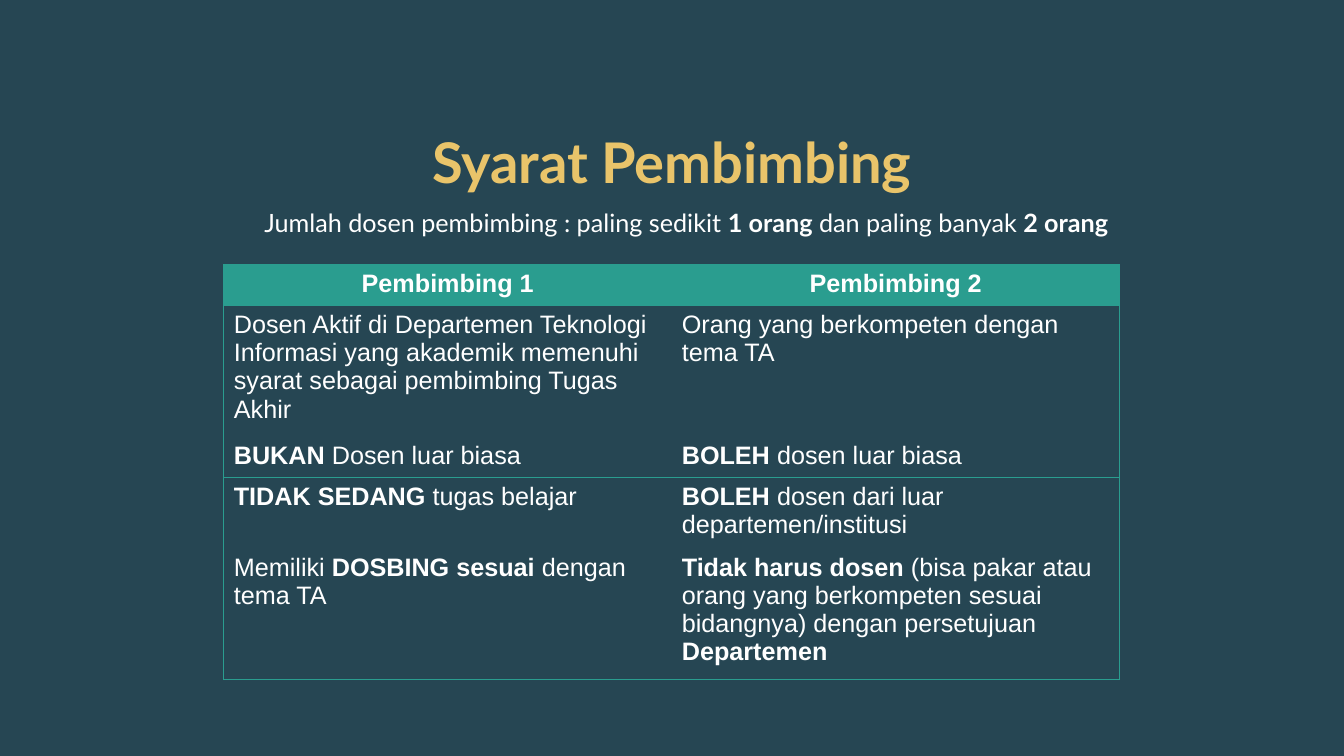
from dataclasses import dataclass

from lxml.etree import SubElement
from pptx import Presentation
from pptx.dml.color import RGBColor
from pptx.enum.text import MSO_ANCHOR as Anchor, PP_ALIGN as Align
from pptx.oxml.ns import qn
from pptx.slide import Slide
from pptx.table import Table, _Cell as Cell
from pptx.text.text import TextFrame
from pptx.util import Cm, Pt

COLORS = {"background": "264653", "title": "E9C46A", "text": "FFFFFF", "teal": "2A9D8F"}


@dataclass
class Style:
    size: int
    font: str
    color: str = "text"
    align: Align = Align.CENTER
    spacing: float = 1.0


@dataclass
class Caption:
    text: str
    left: float
    top: float
    width: float
    height: float
    anchor: Anchor
    style: Style


# Text between ** marks is bold
CAPTIONS = [
    Caption("**Syarat Pembimbing**", 4.23, 3.2, 25.4, 1.7, Anchor.BOTTOM,
            Style(40, "Lato", "title")),
    Caption("Jumlah dosen pembimbing : paling sedikit **1 orang** dan paling banyak **2 orang**",
            4.95, 5.31, 24.69, 1.35, Anchor.TOP, Style(18, "Lato", spacing=0.9)),
]
REQUIREMENTS = [
    ("**Pembimbing 1**", "**Pembimbing 2**"),
    ("Dosen Aktif di Departemen Teknologi Informasi yang akademik memenuhi syarat "
     "sebagai pembimbing Tugas Akhir",
     "Orang yang berkompeten dengan tema TA"),
    ("**BUKAN **Dosen luar biasa", "**BOLEH** dosen luar biasa"),
    ("**TIDAK SEDANG** tugas belajar", "**BOLEH** dosen dari luar departemen/institusi"),
    ("Memiliki **DOSBING sesuai** dengan tema TA",
     "**Tidak harus dosen **(bisa pakar atau orang yang berkompeten sesuai bidangnya) "
     "dengan persetujuan **Departemen**"),
]
RULED_EDGES = {0, 1, 3, len(REQUIREMENTS)}  # horizontal rules, counted from the table top
HEADER_STYLE = Style(18, "Arial")
BODY_STYLE = Style(18, "Arial", align=Align.LEFT)


def rgb(name: str) -> RGBColor:
    return RGBColor.from_string(COLORS[name])


def write(frame: TextFrame, text: str, style: Style) -> None:
    para = frame.paragraphs[0]
    para.alignment, para.line_spacing = style.align, style.spacing
    para.font.size, para.font.name = Pt(style.size), style.font
    para.font.color.rgb = rgb(style.color)
    for index, part in enumerate(text.split("**")):
        if part:
            span = para.add_run()
            span.text = part
            span.font.bold = index % 2 == 1


def add_caption(page: Slide, caption: Caption) -> None:
    box = page.shapes.add_textbox(Cm(caption.left), Cm(caption.top),
                                  Cm(caption.width), Cm(caption.height))
    frame = box.text_frame
    frame.word_wrap = True
    frame.vertical_anchor = caption.anchor
    frame.margin_left = frame.margin_right = frame.margin_top = frame.margin_bottom = 0
    write(frame, caption.text, caption.style)


def set_borders(cell: Cell, visible: dict[str, bool]) -> None:
    properties = cell._tc.get_or_add_tcPr()
    for index, (side, shown) in enumerate(visible.items()):
        line = SubElement(properties, qn(f"a:ln{side}"), w=str(Pt(0.75)))
        if shown:
            fill = SubElement(line, qn("a:solidFill"))
            SubElement(fill, qn("a:srgbClr"), val=COLORS["teal"])
        else:
            SubElement(line, qn("a:noFill"))
        properties.insert(index, line)


def fill_table(table: Table) -> None:
    for row, texts in enumerate(REQUIREMENTS):
        for column, text in enumerate(texts):
            cell = table.cell(row, column)
            if row == 0:
                cell.fill.solid()
                cell.fill.fore_color.rgb = rgb("teal")
            else:
                cell.fill.background()
            write(cell.text_frame, text, BODY_STYLE if row else HEADER_STYLE)
            set_borders(cell, {"L": column == 0, "R": column == len(texts) - 1,
                               "T": row in RULED_EDGES, "B": row + 1 in RULED_EDGES})


# Page
deck = Presentation()
deck.slide_width, deck.slide_height = Cm(33.87), Cm(19.05)
page = deck.slides.add_slide(deck.slide_layouts[6])
page.background.fill.solid()
page.background.fill.fore_color.rgb = rgb("background")

# Title and subtitle
for caption in CAPTIONS:
    add_caption(page, caption)

# Requirements table; rows grow with their text
row_height = 1.03
frame = page.shapes.add_table(len(REQUIREMENTS), 2, Cm(5.64), Cm(6.67),
                              Cm(22.58), Cm(row_height * len(REQUIREMENTS)))
fill_table(frame.table)

deck.save("out.pptx")
